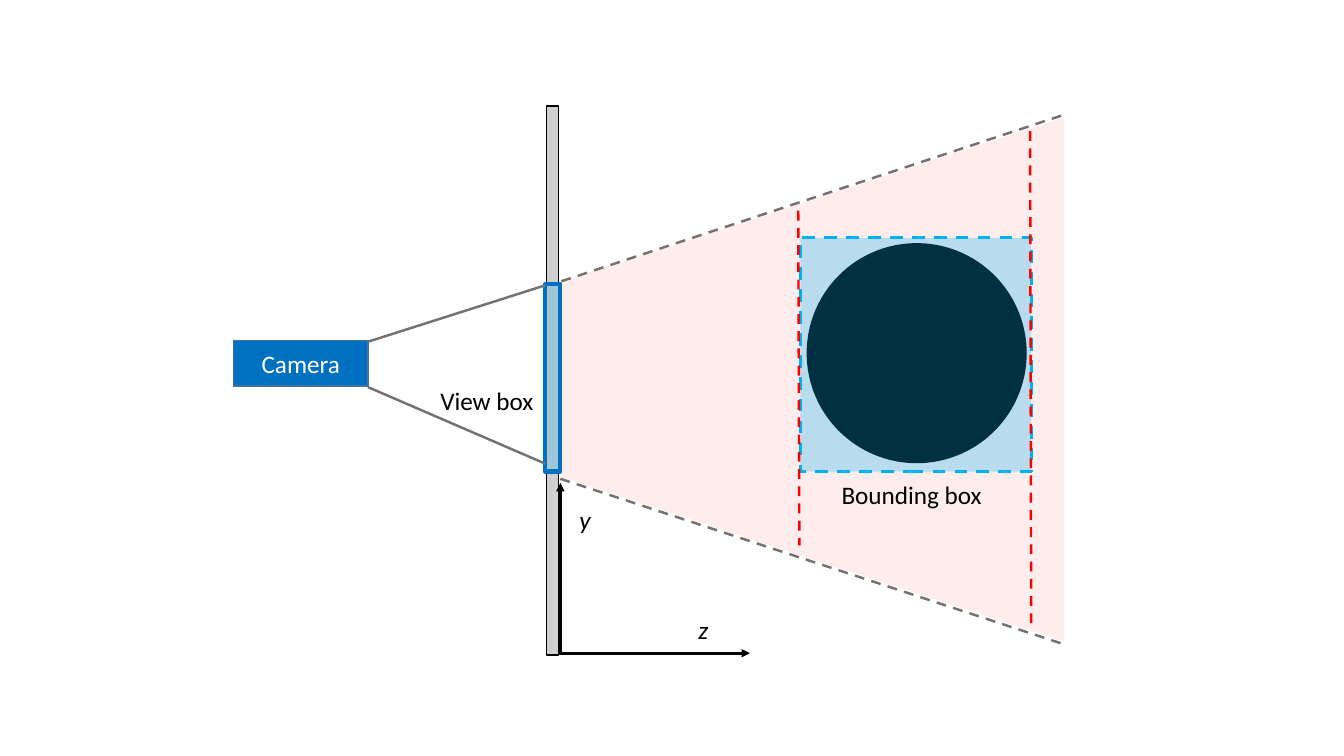
"""Draw a camera's view volume with the bounding box of an object inside it."""
from dataclasses import dataclass
from typing import Optional, Union

from lxml import etree
from pptx import Presentation
from pptx import util as u
from pptx.dml.color import RGBColor
from pptx.enum import dml, shapes, text
from pptx.oxml import ns

BLACK = RGBColor(0x00, 0x00, 0x00)
WHITE = RGBColor(0xFF, 0xFF, 0xFF)
RED = RGBColor(0xFF, 0x00, 0x00)
GRAY = RGBColor(0x76, 0x71, 0x71)
LIGHT_GRAY = RGBColor(0xD0, 0xCE, 0xCE)
BLUE = RGBColor(0x00, 0x70, 0xC0)
DARK_BLUE = RGBColor(0x43, 0x73, 0x9E)
SKY = RGBColor(0x00, 0xB0, 0xF0)

RECTANGLE = shapes.MSO_SHAPE.RECTANGLE
FONT = {"name": "Calibri", "size": u.Pt(18)}
LABEL_HEIGHT = 28.8


@dataclass
class Stroke:
    color: RGBColor
    width: float
    dashed: bool = False


@dataclass
class Figure:
    kind: shapes.MSO_SHAPE
    bounds: tuple[float, float, float, float]
    fill: RGBColor
    stroke: Optional[Stroke] = None
    opacity: int = 100
    rotation: float = 0
    adjustment: Optional[float] = None
    caption: str = ""


@dataclass
class Segment:
    start: tuple[float, float]
    end: tuple[float, float]
    stroke: Stroke
    arrow: bool = False


@dataclass
class Label:
    words: str
    left: float
    top: float
    width: float
    italic: bool = False


OUTLINE = Stroke(BLACK, 1)
RAY = Stroke(GRAY, 1.75)
FAR_RAY = Stroke(GRAY, 1.75, dashed=True)
DEPTH_LIMIT = Stroke(RED, 1.75, dashed=True)
AXIS = Stroke(BLACK, 2)

DRAWING: list[Union[Figure, Segment, Label]] = [
    Figure(shapes.MSO_SHAPE.TRAPEZOID, (393.1, 91.4, 374.4, 359.3), RED,
           opacity=7, rotation=270, adjustment=0.327),
    Figure(shapes.MSO_SHAPE.OVAL, (576.7, 174.2, 156.2, 156.2), BLACK, OUTLINE),
    Figure(RECTANGLE, (390.2, 75.6, 8.6, 392.4), LIGHT_GRAY, OUTLINE),
    Figure(RECTANGLE, (389.5, 203, 10.8, 133.9), SKY, Stroke(BLUE, 3), opacity=24),
    Segment((401, 200.9), (759.6, 82.1), FAR_RAY),
    Segment((400.3, 342), (761.8, 460.8), FAR_RAY),
    Segment((262.8, 244.1), (389.5, 203.8), RAY),
    Segment((262.8, 276.5), (389.5, 331.2), RAY),
    Figure(RECTANGLE, (571.7, 169.9, 164.9, 167), SKY,
           Stroke(SKY, 2.25, dashed=True), opacity=28),
    Figure(RECTANGLE, (167, 243.4, 95.8, 32.4), BLUE, Stroke(DARK_BLUE, 1),
           caption="Camera"),
    Label("View box", 307.4, 271.4, 138.2),
    Label("Bounding box", 594, 339.1, 138.2),
    Segment((570.2, 150.5), (571, 389.5), DEPTH_LIMIT),
    Segment((735.8, 93.6), (736.6, 447.1), DEPTH_LIMIT),
    Segment((400.3, 466.6), (400.3, 344.9), AXIS, arrow=True),
    Segment((399.6, 466.6), (535.7, 466.6), AXIS, arrow=True),
    Label("y", 406.8, 356.4, 49.7, italic=True),
    Label("z", 491.8, 435.6, 49.7, italic=True),
]


def apply_format(target, values: dict) -> None:
    """Set every named attribute on the target."""
    for name, value in values.items():
        setattr(target, name, value)


def apply_stroke(line, stroke: Stroke) -> None:
    """Give a line its colour, width and dash."""
    line.color.rgb = stroke.color
    line.width = u.Pt(stroke.width)
    if stroke.dashed:
        line.dash_style = dml.MSO_LINE.DASH


def write(frame, words: str, color: RGBColor, align, italic: bool = False) -> None:
    """Fill a text frame with one formatted span."""
    frame.word_wrap = True
    para = frame.paragraphs[0]
    para.alignment = align
    span = para.add_run()
    span.text = words
    apply_format(span.font, {**FONT, "italic": italic})
    span.font.color.rgb = color


def draw_figure(page, figure: Figure) -> None:
    """Add a preset shape with its fill, outline and caption."""
    box = page.shapes.add_shape(figure.kind, *map(u.Pt, figure.bounds))
    box.shadow.inherit = False
    box.rotation = figure.rotation
    if figure.adjustment is not None:
        box.adjustments[0] = figure.adjustment
    box.fill.solid()
    box.fill.fore_color.rgb = figure.fill
    if figure.opacity < 100:
        tint = box._element.spPr.find(ns.qn("a:solidFill")).find(ns.qn("a:srgbClr"))
        etree.SubElement(tint, ns.qn("a:alpha"), val=str(figure.opacity * 1000))
    if figure.stroke:
        apply_stroke(box.line, figure.stroke)
    else:
        box.line.fill.background()
    if figure.caption:
        box.text_frame.vertical_anchor = text.MSO_ANCHOR.MIDDLE
        write(box.text_frame, figure.caption, WHITE, text.PP_ALIGN.CENTER)


def draw_segment(page, segment: Segment) -> None:
    """Add a straight line, with an arrowhead at its end if asked."""
    connector = page.shapes.add_connector(
        shapes.MSO_CONNECTOR.STRAIGHT, *map(u.Pt, segment.start + segment.end))
    apply_stroke(connector.line, segment.stroke)
    properties = connector._element.spPr
    if segment.arrow:
        outline = properties.find(ns.qn("a:ln"))
        etree.SubElement(outline, ns.qn("a:tailEnd"), type="triangle")
    etree.SubElement(properties, ns.qn("a:effectLst"))


def draw_label(page, label: Label) -> None:
    """Add a text box that grows with its words."""
    bounds = (label.left, label.top, label.width, LABEL_HEIGHT)
    box = page.shapes.add_textbox(*map(u.Pt, bounds))
    box.text_frame.auto_size = text.MSO_AUTO_SIZE.SHAPE_TO_FIT_TEXT
    write(box.text_frame, label.words, BLACK, text.PP_ALIGN.LEFT, label.italic)


def main() -> None:
    """Build the slide and save it."""
    deck = Presentation()
    apply_format(deck, {"slide_width": u.Pt(960), "slide_height": u.Pt(540)})
    page = deck.slides.add_slide(deck.slide_layouts[6])
    painters = {Figure: draw_figure, Segment: draw_segment, Label: draw_label}
    for item in DRAWING:
        painters[type(item)](page, item)
    deck.save("out.pptx")


if __name__ == "__main__":
    main()
